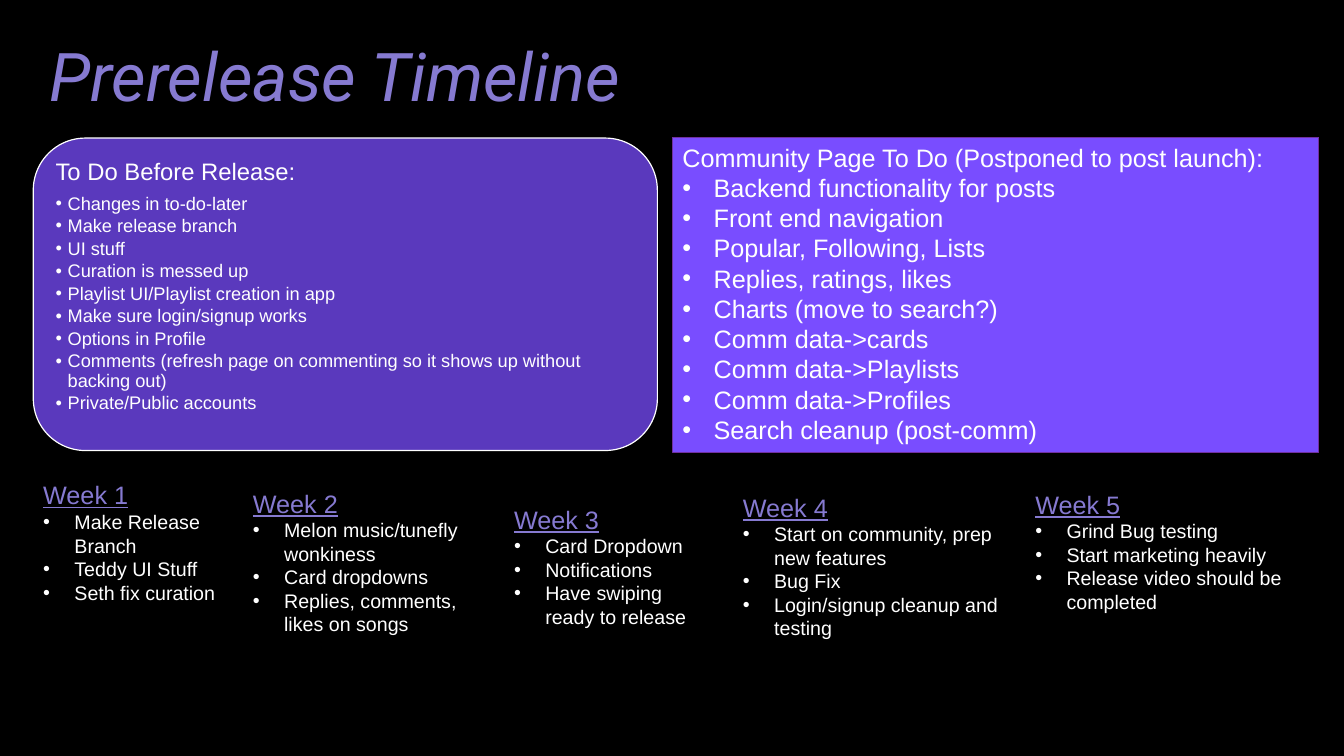
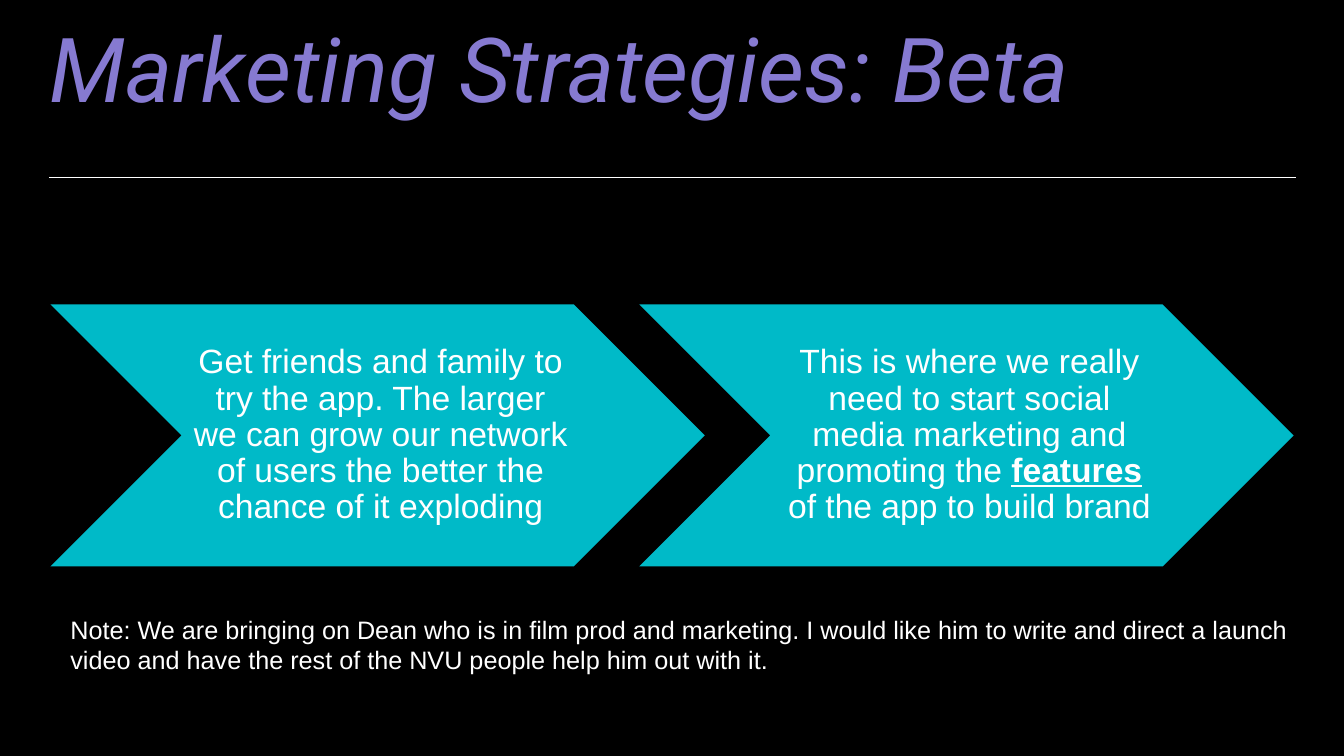
from lxml.etree import SubElement
from pptx import Presentation
from pptx.dml.color import RGBColor
from pptx.enum.shapes import MSO_CONNECTOR, MSO_SHAPE as SHAPE
from pptx.enum.text import MSO_ANCHOR as ANCHOR, MSO_AUTO_SIZE as FIT, PP_ALIGN as ALIGN
from pptx.oxml.ns import qn
from pptx.util import Inches, Pt

BLACK = RGBColor(0x00, 0x00, 0x00)
WHITE = RGBColor(0xFF, 0xFF, 0xFF)
LAVENDER = RGBColor(0x86, 0x7A, 0xD1)
INDIGO = RGBColor(0x5A, 0x39, 0xBD)
VIOLET = RGBColor(0x79, 0x4D, 0xFF)
PLUM = RGBColor(0x70, 0x30, 0xA0)
TEAL = RGBColor(0x00, 0xBA, 0xC8)

BODY_FONT = "Arial"
TITLE_FONT = "Roboto"
MARGIN = 0.49
CONTENT_WIDTH = 12.36
WIDE_INDENT = 0.31
TIGHT_INDENT = 0.12
DEFAULT_INSETS = (0.1, 0.05, 0.1, 0.05)

RELEASE_TASKS = [
    "Changes in to-do-later",
    "Make release branch",
    "UI stuff",
    "Curation is messed up",
    "Playlist UI/Playlist creation in app",
    "Make sure login/signup works",
    "Options in Profile",
    "Comments (refresh page on commenting so it shows up without backing out)",
    "Private/Public accounts",
]
COMMUNITY_TASKS = [
    "Backend functionality for posts",
    "Front end navigation",
    "Popular, Following, Lists",
    "Replies, ratings, likes",
    "Charts (move to search?)",
    "Comm data->cards",
    "Comm data->Playlists",
    "Comm data->Profiles",
    "Search cleanup (post-comm)",
]
# Left, top, width, height and tasks of each week
WEEKS = [
    (0.33, 4.71, 2.19, 1.35,
     ["Make Release Branch", "Teddy UI Stuff", "Seth fix curation"]),
    (2.41, 4.79, 2.38, 1.58,
     ["Melon music/tunefly wonkiness", "Card dropdowns",
      "Replies, comments, likes on songs"]),
    (5, 4.95, 2.19, 1.35,
     ["Card Dropdown", "Notifications", "Have swiping ready to release"]),
    (7.27, 4.83, 2.83, 1.58,
     ["Start on community, prep new features", "Bug Fix",
      "Login/signup cleanup and testing"]),
    (10.17, 4.8, 2.83, 1.35,
     ["Grind Bug testing", "Start marketing heavily",
      "Release video should be completed"]),
]
STRATEGIES = [
    [("Get friends and family to try the app. The larger we can grow our "
      "network of users the better the chance of it exploding", {})],
    [("This is where we really need to start social media marketing and "
      "promoting the ", {}),
     ("features", {"bold": True, "underline": True}),
     (" of the app to build brand", {})],
]
LAUNCH_NOTE = (
    "Note: We are bringing on Dean who is in film prod and marketing. "
    "I would like him to write and direct a launch video and have the rest "
    "of the NVU people help him out with it."
)


class Deck:
    """Holds the shared style and the slide being built."""

    def __init__(self):
        self.prs = Presentation()
        self.prs.slide_width, self.prs.slide_height = Inches(13.33), Inches(7.5)
        backdrop = self.prs.slide_master.background.fill
        backdrop.solid()
        backdrop.fore_color.rgb = BLACK
        self.slide = None

    def add_slide(self, title, top, height, size):
        self.slide = self.prs.slides.add_slide(self.prs.slide_layouts[5])
        heading = self.slide.shapes.title
        heading.left, heading.top = Inches(MARGIN), Inches(top)
        heading.width, heading.height = Inches(CONTENT_WIDTH), Inches(height)
        frame = self.set_frame(heading, insets=(0, 0, 0, 0))
        self.add_paragraph(frame, title, size, LAVENDER,
                           {"name": TITLE_FONT, "italic": True}, {"line_spacing": 0.9})

    def set_frame(self, shape, insets=DEFAULT_INSETS, anchor=ANCHOR.TOP, fit=FIT.NONE):
        frame = shape.text_frame
        left, top, right, bottom = map(Inches, insets)
        layout = {"word_wrap": True, "auto_size": fit, "vertical_anchor": anchor,
                  "margin_left": left, "margin_top": top,
                  "margin_right": right, "margin_bottom": bottom}
        for name, value in layout.items():
            setattr(frame, name, value)
        return frame

    def add_paragraph(self, frame, content, size, color=WHITE, style=None,
                      spacing=None, indent=0):
        """Add a paragraph; content is text or (text, font format) pairs."""
        first = frame.paragraphs[0]
        paragraph = frame.add_paragraph() if first.runs else first
        for name, value in {"alignment": ALIGN.LEFT, **(spacing or {})}.items():
            setattr(paragraph, name, value)
        if indent:
            self.add_bullet(paragraph, indent)
        parts = [(content, {})] if isinstance(content, str) else content
        for text, emphasis in parts:
            run = paragraph.add_run()
            run.text = text
            look = {"name": BODY_FONT, "size": Pt(size), **(style or {}), **emphasis}
            for name, value in look.items():
                setattr(run.font, name, value)
            run.font.color.rgb = color

    def add_bullet(self, paragraph, indent):
        properties = paragraph._p.get_or_add_pPr()
        properties.set("marL", str(Inches(indent)))
        properties.set("indent", str(-Inches(indent)))
        SubElement(properties, qn("a:buFont")).set("typeface", BODY_FONT)
        SubElement(properties, qn("a:buChar")).set("char", "•")

    def add_list(self, frame, items, size, indent, spacing=None):
        for item in items:
            self.add_paragraph(frame, item, size, spacing=spacing, indent=indent)

    def add_box(self, preset, place, fill, line=None, line_width=0, **frame_format):
        box = self.slide.shapes.add_shape(preset, *map(Inches, place))
        box.shadow.inherit = False
        box.fill.solid()
        box.fill.fore_color.rgb = fill
        if line is None:
            box.line.fill.background()
        else:
            box.line.color.rgb = line
            box.line.width = Pt(line_width)
        return self.set_frame(box, **frame_format)

    def add_text(self, place):
        box = self.slide.shapes.add_textbox(*map(Inches, place))
        return self.set_frame(box, fit=FIT.SHAPE_TO_FIT_TEXT)

    def add_rule(self, top):
        ends = (MARGIN, top, MARGIN + CONTENT_WIDTH, top)
        rule = self.slide.shapes.add_connector(MSO_CONNECTOR.STRAIGHT, *map(Inches, ends))
        rule.line.color.rgb = WHITE
        rule.line.width = Pt(0.5)
        SubElement(rule._element.spPr, qn("a:effectLst"))


def build_timeline(deck):
    deck.add_slide("Prerelease Timeline", 0.43, 1.25, 48)

    community = deck.add_box(SHAPE.RECTANGLE, (6.67, 1.36, 6.41, 3.13), VIOLET,
                             PLUM, 0.75, fit=FIT.SHAPE_TO_FIT_TEXT)
    deck.add_paragraph(community, "Community Page To Do (Postponed to post launch):", 18)
    deck.add_list(community, COMMUNITY_TASKS, 18, WIDE_INDENT)

    for number, (*place, tasks) in enumerate(WEEKS, 1):
        week = deck.add_text(place)
        deck.add_paragraph(week, f"Week {number}", 18, LAVENDER, {"underline": True})
        deck.add_list(week, tasks, 14, WIDE_INDENT)

    release = deck.add_box(SHAPE.ROUNDED_RECTANGLE, (0.33, 1.37, 6.19, 3.1), INDIGO,
                           WHITE, 0.85, insets=(0.07,) * 4)
    deck.add_paragraph(release, "To Do Before Release:", 17,
                       spacing={"line_spacing": 0.9, "space_after": Pt(6)})
    deck.add_list(release, RELEASE_TASKS, 13, TIGHT_INDENT,
                  {"line_spacing": 0.9, "space_after": Pt(2)})


def build_marketing(deck):
    deck.add_slide("Marketing Strategies: Beta", 0.25, 1.08, 64)
    deck.add_rule(1.76)

    for step, strategy in enumerate(STRATEGIES):
        chevron = deck.add_box(SHAPE.CHEVRON, (0.5 + step * 5.84, 3.02, 6.49, 2.6), TEAL,
                               insets=(0.1, 0.04, 0.04, 0.04), anchor=ANCHOR.MIDDLE)
        deck.add_paragraph(chevron, strategy, 24,
                           spacing={"alignment": ALIGN.CENTER, "line_spacing": 0.9})

    deck.add_paragraph(deck.add_text((0.6, 6.04, 12.35, 0.71)), LAUNCH_NOTE, 18)


def main():
    deck = Deck()
    build_timeline(deck)
    build_marketing(deck)
    deck.prs.save("out.pptx")


if __name__ == "__main__":
    main()
